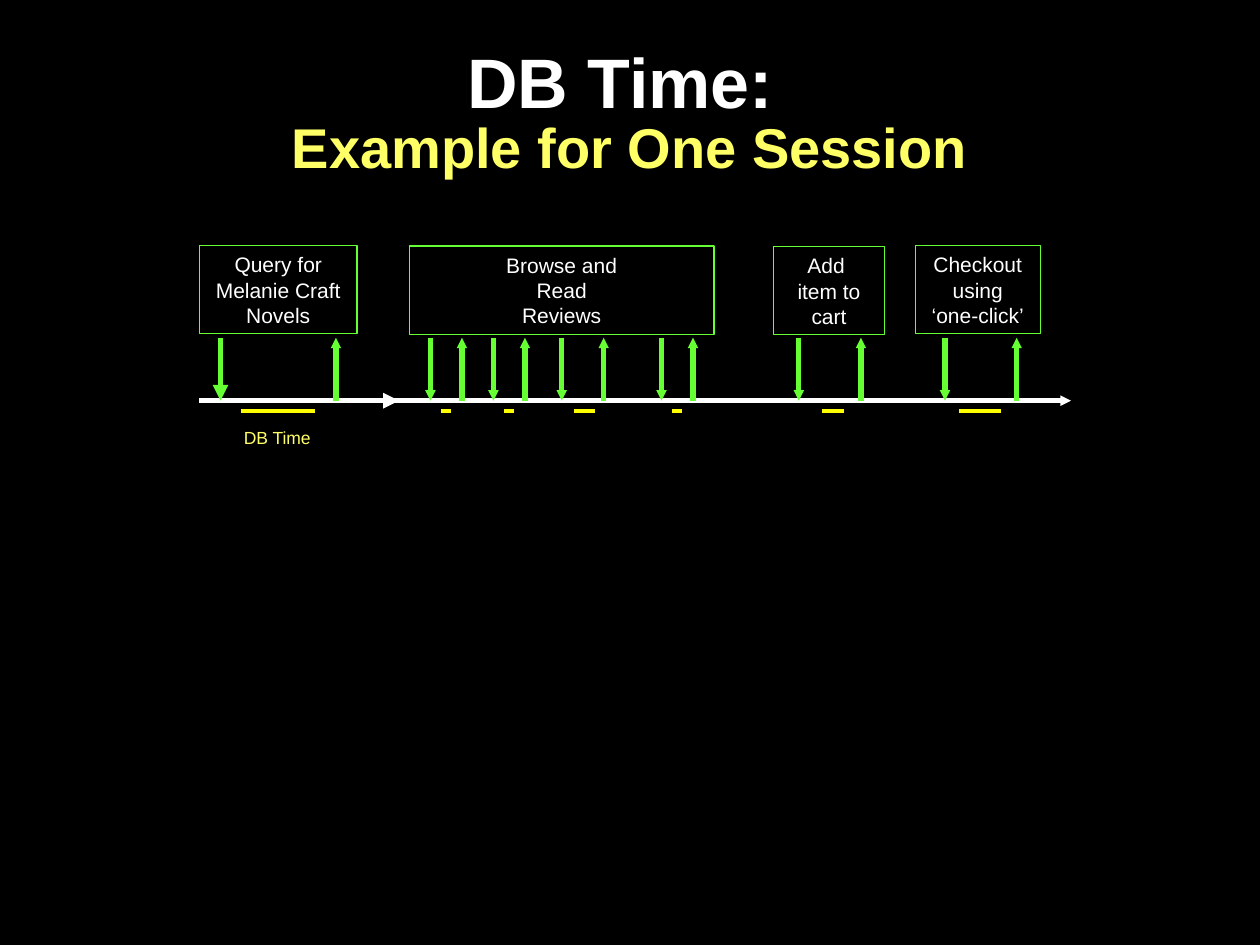
from lxml.etree import SubElement
from pptx import Presentation
from pptx.dml.color import RGBColor
from pptx.enum.shapes import MSO_CONNECTOR, MSO_SHAPE
from pptx.enum.text import MSO_ANCHOR, PP_ALIGN
from pptx.oxml.ns import qn
from pptx.util import Pt

WHITE, GREEN, YELLOW, PALE = "FFFFFF", "66FF33", "FFFF00", "FFFF66"


def write(frame, text, size=12, color=WHITE, bold=False, align=PP_ALIGN.CENTER,
          spacing=None, more=False):
    """Fill a text frame, one paragraph per line; more=True adds to its end."""
    for number, line in enumerate(text.split("\n")):
        para = frame.add_paragraph() if more or number else frame.paragraphs[0]
        para.text = line
        para.alignment = align
        para.line_spacing = spacing
        para.space_before = Pt(0)
        for span in para.runs:
            span.font.name = "Arial"
            span.font.size = Pt(size)
            span.font.bold = bold
            span.font.color.rgb = RGBColor.from_string(color)


def draw_line(x1, y1, x2, y2, color, width=3, head=None):
    """Draw a straight line; head is the arrowhead size, sm or med."""
    line = page.shapes.add_connector(
        MSO_CONNECTOR.STRAIGHT, Pt(x1), Pt(y1), Pt(x2), Pt(y2))
    line.line.color.rgb = RGBColor.from_string(color)
    line.line.width = Pt(width)
    if head:
        SubElement(line.line._get_or_add_ln(), qn("a:tailEnd"),
                   type="triangle", w=head, len=head)
    SubElement(line._element.spPr, qn("a:effectLst"))


deck = Presentation()
deck.slide_width, deck.slide_height = Pt(720), Pt(540)
page = deck.slides.add_slide(deck.slide_layouts[5])
page.background.fill.solid()
page.background.fill.fore_color.rgb = RGBColor.from_string("000000")

# Title
title = page.shapes.title
title.left, title.top, title.width, title.height = Pt(90), Pt(24), Pt(540), Pt(84)
frame = title.text_frame
frame.margin_left = frame.margin_right = frame.margin_top = frame.margin_bottom = 0
frame.vertical_anchor = MSO_ANCHOR.MIDDLE
write(frame, "DB Time: ", size=40, bold=True, spacing=0.85)
write(frame, "Example for One Session", size=32, color=PALE, bold=True,
      spacing=0.85, more=True)

# Time axis: (start, end, arrowhead)
AXIS = 229
for start, end, head in [(114, 228, "med"), (210, 240, None), (216, 412, None),
                         (412, 444, None), (425, 505, None), (505, 535, None),
                         (534, 612, "sm")]:
    draw_line(start, AXIS, end, AXIS, WHITE, head=head)

# Steps: (text, left, top, width, calls), call: (request, reply, busy from, busy to)
steps = [
    ("Query for Melanie Craft Novels", 114, 140.4, 90, [(126, 192, 138, 180)]),
    ("Browse and\nRead\nReviews", 234, 140.6, 174,
     [(246, 264, 252, 258), (282, 300, 288, 294),
      (321, 345, 328, 340), (378, 396, 384, 390)]),
    ("Add \vitem to cart", 442, 141, 63.5, [(456.5, 492, 470, 482.5)]),
    ("Checkout using\n‘one-click’", 523, 140.4, 71.5, [(540, 581, 548, 572)]),
]
for number, (text, left, top, width, calls) in enumerate(steps):
    box = page.shapes.add_shape(
        MSO_SHAPE.RECTANGLE, Pt(left), Pt(top), Pt(width), Pt(50.4))
    box.shadow.inherit = False
    box.fill.background()
    box.line.color.rgb = RGBColor.from_string(GREEN)
    box.line.width = Pt(0.75)
    box.text_frame.word_wrap = True
    box.text_frame.vertical_anchor = MSO_ANCHOR.TOP
    write(box.text_frame, text)
    for request, reply, busy_from, busy_to in calls:
        draw_line(request, 193, request, AXIS, GREEN, head="sm" if number else "med")
        draw_line(reply, AXIS, reply, 193, GREEN, head="sm")
        draw_line(busy_from, 235, busy_to, 235, YELLOW, width=2.5)

# Label of the busy time
label = page.shapes.add_textbox(Pt(132.3), Pt(240.5), Pt(53), Pt(19.4))
label.text_frame.word_wrap = False
write(label.text_frame, "DB Time", size=10, color=PALE, align=PP_ALIGN.LEFT)

deck.save("out.pptx")
